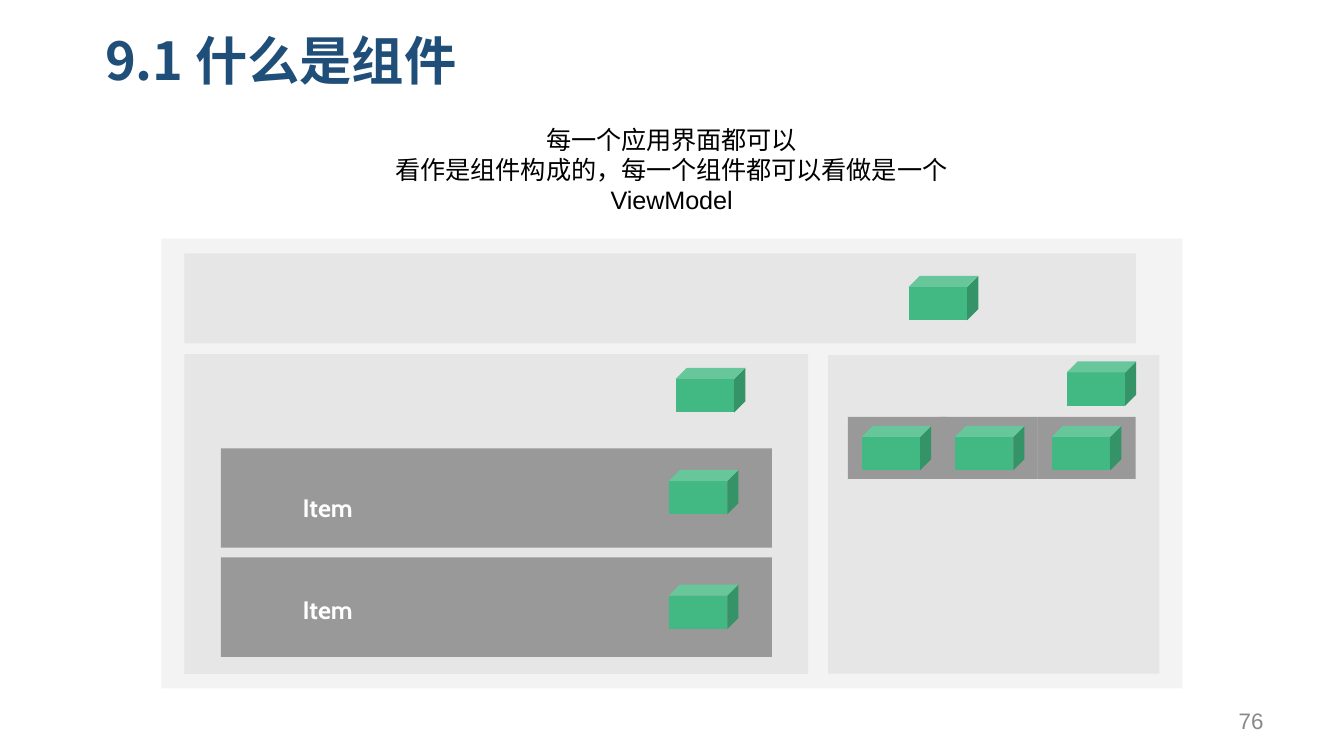
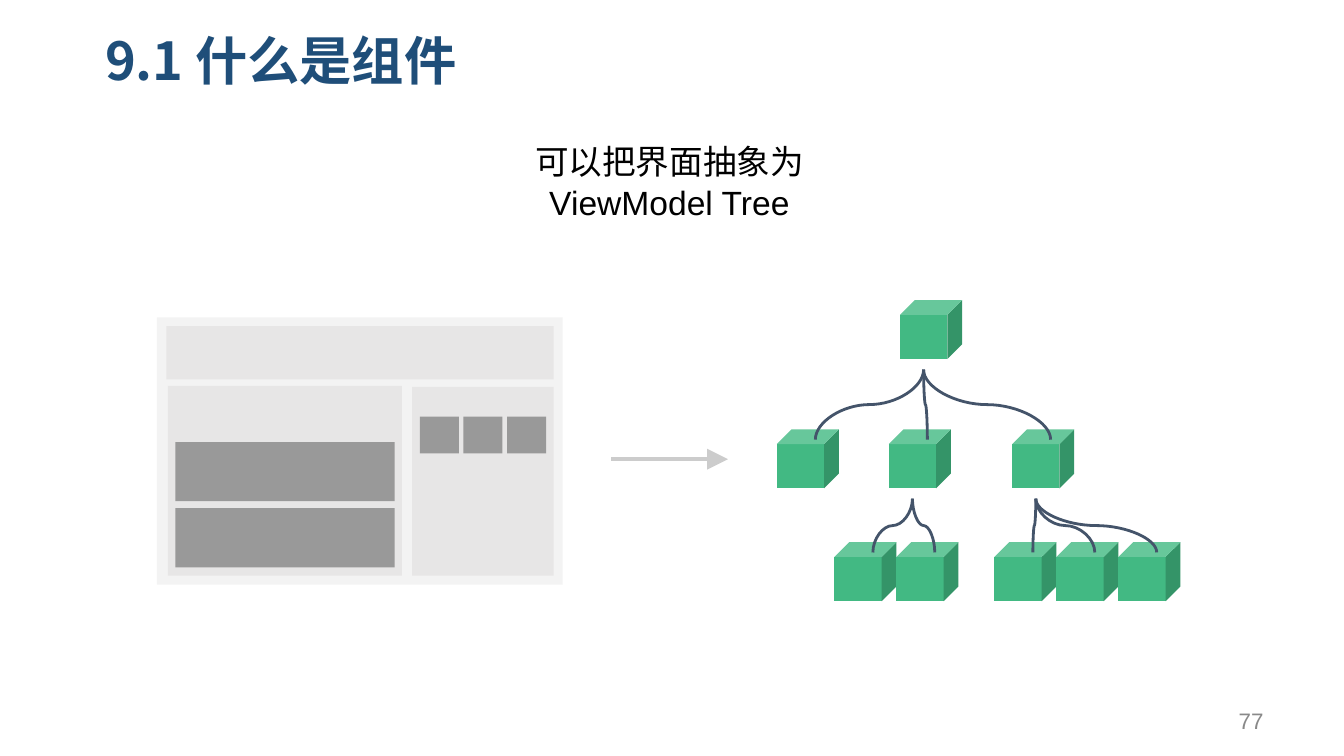
from dataclasses import dataclass

from lxml.etree import SubElement
from pptx import Presentation
from pptx.dml.color import RGBColor
from pptx.enum.shapes import MSO_CONNECTOR, MSO_SHAPE
from pptx.enum.text import MSO_ANCHOR, PP_ALIGN
from pptx.oxml.ns import qn
from pptx.util import Pt


@dataclass(frozen=True)
class Theme:
    latin: str = "Arial"
    chinese: str = "Noto Sans CJK SC"
    label_font: str = "Cabin"
    title: str = "1F4E79"
    text: str = "000000"
    label: str = "FFFFFF"
    number: str = "898989"
    panel: str = "F3F3F3"
    region: str = "E7E6E6"
    item: str = "999999"
    cube: str = "42B983"
    link: str = "44546A"
    arrow: str = "CCCCCC"
    title_size: float = 28
    lead_size: float = 18
    body_size: float = 13.5
    number_size: float = 12


THEME = Theme()
TIGHT = (5, 5, 5, 5)
NORMAL = (7.2, 3.6, 7.2, 3.6)


# Text
def add_text(page, place, lines, size, color, font=THEME.latin, bold=False,
             align=PP_ALIGN.LEFT, anchor=MSO_ANCHOR.TOP, insets=NORMAL):
    frame = page.shapes.add_textbox(*map(Pt, place)).text_frame
    frame.word_wrap = True
    frame.vertical_anchor = anchor
    (frame.margin_left, frame.margin_top,
     frame.margin_right, frame.margin_bottom) = map(Pt, insets)
    for index, words in enumerate(lines):
        para = frame.add_paragraph() if index else frame.paragraphs[0]
        para.alignment = align
        para.font.size = Pt(size)
        para.font.bold = bold
        para.font.name = font
        para.font.color.rgb = RGBColor.from_string(color)
        defaults = para._p.get_or_add_pPr().find(qn("a:defRPr"))
        SubElement(defaults, qn("a:ea")).set("typeface", THEME.chinese)
        para.add_run().text = words
    return frame


def add_description(page, place, lines, size, insets=NORMAL):
    add_text(page, place, lines, size, THEME.text,
             align=PP_ALIGN.CENTER, insets=insets)


def add_label(page, left, top, words):
    add_text(page, (left, top, 88.6, 16.6), [words], THEME.body_size,
             THEME.label, THEME.label_font, bold=True, insets=TIGHT)


def add_page(deck, number):
    """Blank page with the shared title and page number."""
    page = deck.slides.add_slide(deck.slide_layouts[6])
    add_text(page, (516.2, 375.1, 167.8, 21.6), [str(number)],
             THEME.number_size, THEME.number, align=PP_ALIGN.RIGHT,
             anchor=MSO_ANCHOR.MIDDLE)
    frame = add_text(page, (49.2, 18.7, 571, 40.3), ["9.1 什么是组件"],
                     THEME.title_size, THEME.title, THEME.chinese, bold=True,
                     insets=(7.2, 0, 7.2, 0))
    frame.paragraphs[0].line_spacing = 0.9
    return page


# Shapes
def add_block(page, place, color, kind=MSO_SHAPE.RECTANGLE):
    block = page.shapes.add_shape(kind, *map(Pt, place))
    block.shadow.inherit = False
    block.fill.solid()
    block.fill.fore_color.rgb = RGBColor.from_string(color)
    block.line.fill.background()


def add_cube(page, left, top, size):
    add_block(page, (left, top, *size), THEME.cube, MSO_SHAPE.CUBE)


def add_wireframe(page, panel, regions, items, squares):
    add_block(page, panel, THEME.panel)
    for place in regions:
        add_block(page, place, THEME.region)
    for place in items + squares:
        add_block(page, place, THEME.item)


# Lines
def add_line(page, kind, start, end, color, width):
    line = page.shapes.add_connector(kind, *map(Pt, (*start, *end)))
    line.line.color.rgb = RGBColor.from_string(color)
    line.line.width = Pt(width)
    SubElement(line._element.spPr, qn("a:effectLst"))
    return line


def add_arrow(page, start, end):
    arrow = add_line(page, MSO_CONNECTOR.STRAIGHT, start, end, THEME.arrow, 2.25)
    outline = arrow._element.spPr.find(qn("a:ln"))
    SubElement(outline, qn("a:tailEnd"), type="triangle", w="lg", len="lg")


def add_link(page, start, end):
    """Curve that leaves and arrives vertically: a quarter-turned connector."""
    middle_x, middle_y = (start[0] + end[0]) / 2, (start[1] + end[1]) / 2
    half_x, half_y = (end[0] - start[0]) / 2, (end[1] - start[1]) / 2
    link = add_line(page, MSO_CONNECTOR.CURVE,
                    (middle_x - half_y, middle_y + half_x),
                    (middle_x + half_y, middle_y - half_x), THEME.link, 1.5)
    link._element.spPr.find(qn("a:xfrm")).set("rot", "5400000")


def add_tree(page, root, branches, size):
    """Branches pair each child cube with the cubes below it."""
    links = []
    add_cube(page, *root, size)
    for child, leaves in branches:
        add_cube(page, *child, size)
        links.append((root, child))
        links += [(child, leaf) for leaf in leaves]
    for _, leaves in branches:
        for leaf in leaves:
            add_cube(page, *leaf, size)
    for (left, top), (end_left, end_top) in links:
        add_link(page, (left + 12.6, top + 37.2), (end_left + 20.6, end_top + 5.5))


# Pages
def build_components_page(deck):
    page = add_page(deck, 76)
    add_wireframe(
        page,
        panel=(86.4, 127.9, 547, 241),
        regions=[(98.8, 135.8, 509.8, 48.2), (98.8, 189.8, 334.2, 171.2),
                 (443.6, 190.3, 177.6, 170.6)],
        items=[(118.4, 240.2 + 58.5 * row, 295.2, 53.3) for row in range(2)],
        squares=[(left, 223.4, 52.6, 33.2) for left in (454.3, 503.3, 555.8)])
    add_description(
        page, (202.1, 61.6, 315.4, 41),
        ["每一个应用界面都可以",
         "看作是组件构成的，每一个组件都可以看做是一个",
         "ViewModel"], THEME.body_size, TIGHT)
    for top in (258.8, 313.2):
        add_label(page, 157.2, top, "Item")
    for left, top in [(486.8, 147.8), (362, 197.1), (358.3, 251.8),
                      (358.3, 313.2), (571.4, 193.6), (461.6, 228.2),
                      (511.5, 228.2), (563.4, 228.2)]:
        add_cube(page, left, top, (37.3, 23.8))


def build_tree_page(deck):
    page = add_page(deck, 77)
    add_wireframe(
        page,
        panel=(84.1, 170, 217.4, 143.3),
        regions=[(89.1, 174.7, 207.6, 28.6), (90, 206.7, 125.4, 101.7),
                 (220.8, 207.3, 75.9, 101.2)],
        items=[(94, 236.9 + 35.4 * row, 117.4, 31.7) for row in range(2)],
        squares=[(224.9 + 23.4 * column, 223.2, 20.9, 19.7)
                 for column in range(3)])
    middle, bottom, pitch = 230, 290.5, 33.2
    add_tree(
        page, (482.2, 160.8),
        [((416.2, middle), []),
         ((476.2, middle), [(447 + pitch * n, bottom) for n in range(2)]),
         ((542.3, middle), [(532.7 + pitch * n, bottom) for n in range(3)])],
        size=(33.2, 31.6))
    add_arrow(page, (327.5, 246), (390, 246))
    add_description(page, (258.5, 72.2, 200.2, 50.4),
                    ["可以把界面抽象为", "ViewModel Tree"], THEME.lead_size)


def main():
    deck = Presentation()
    deck.slide_width, deck.slide_height = Pt(720), Pt(405)
    build_components_page(deck)
    build_tree_page(deck)
    deck.save("out.pptx")


if __name__ == "__main__":
    main()
